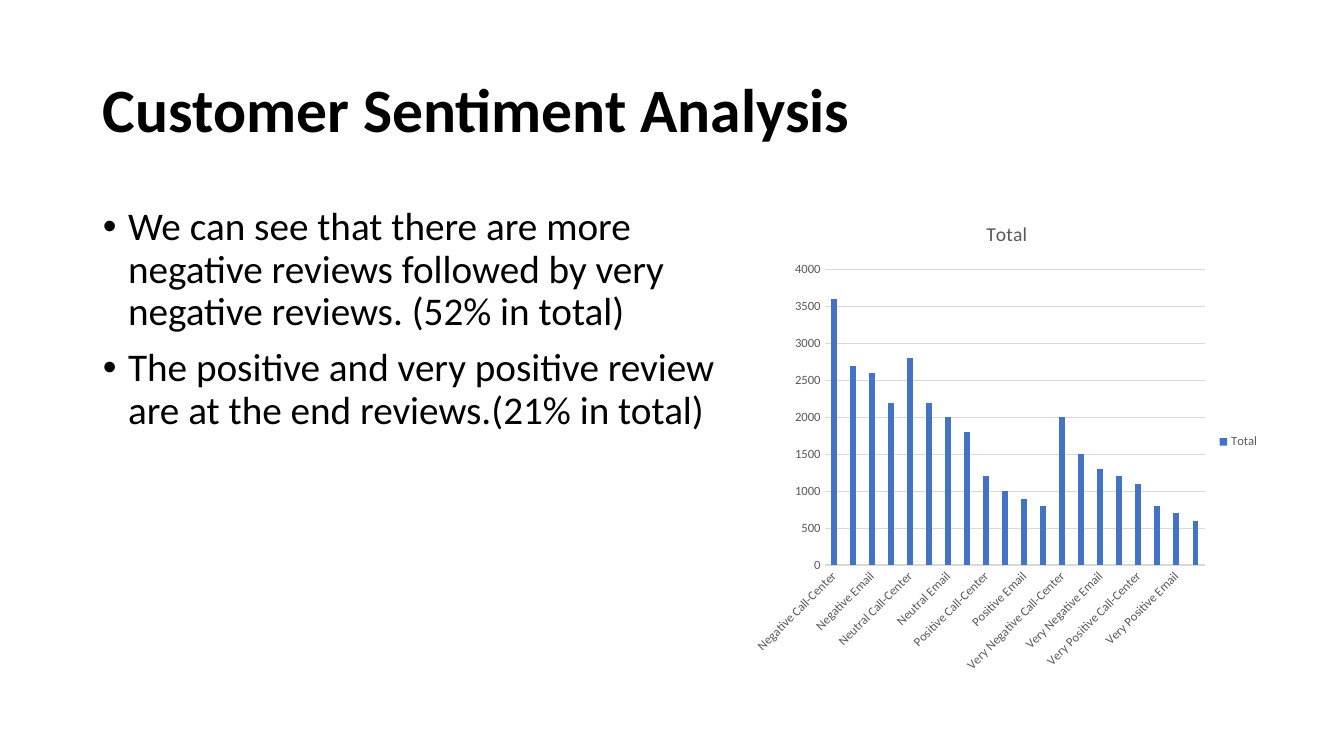
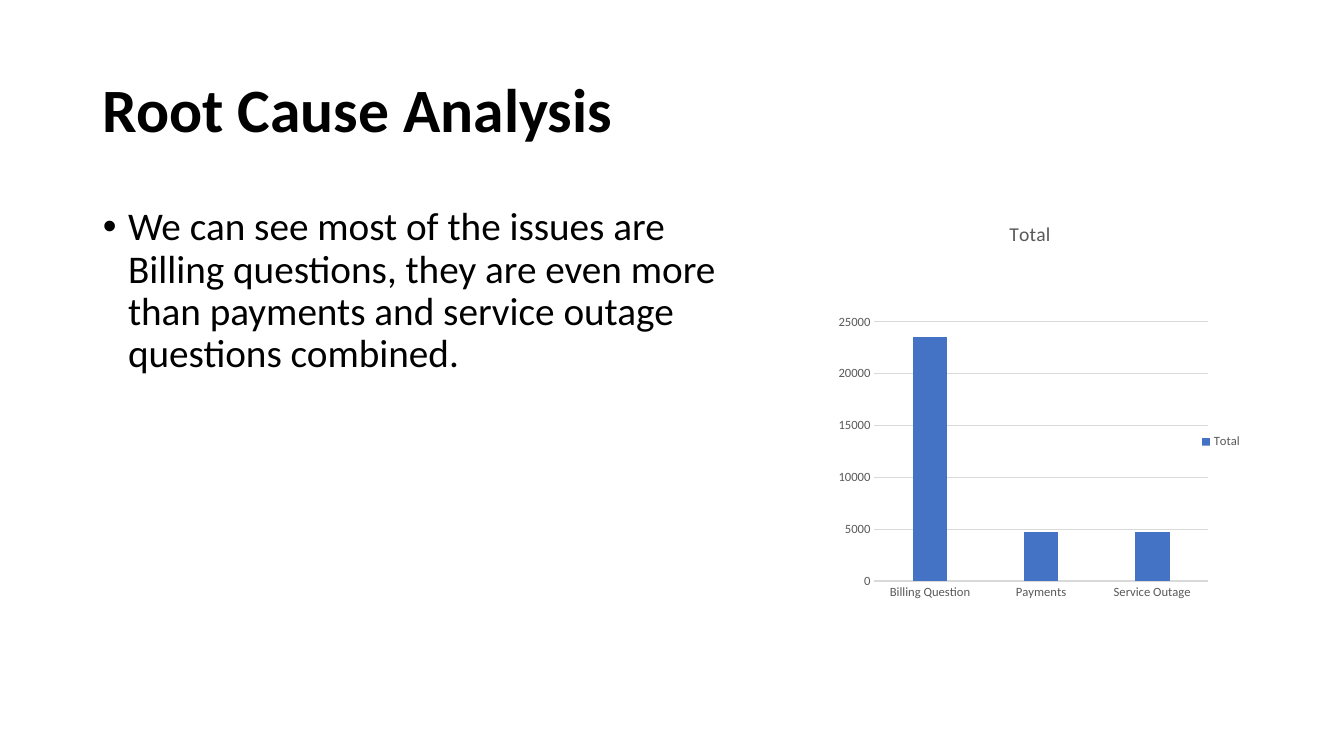
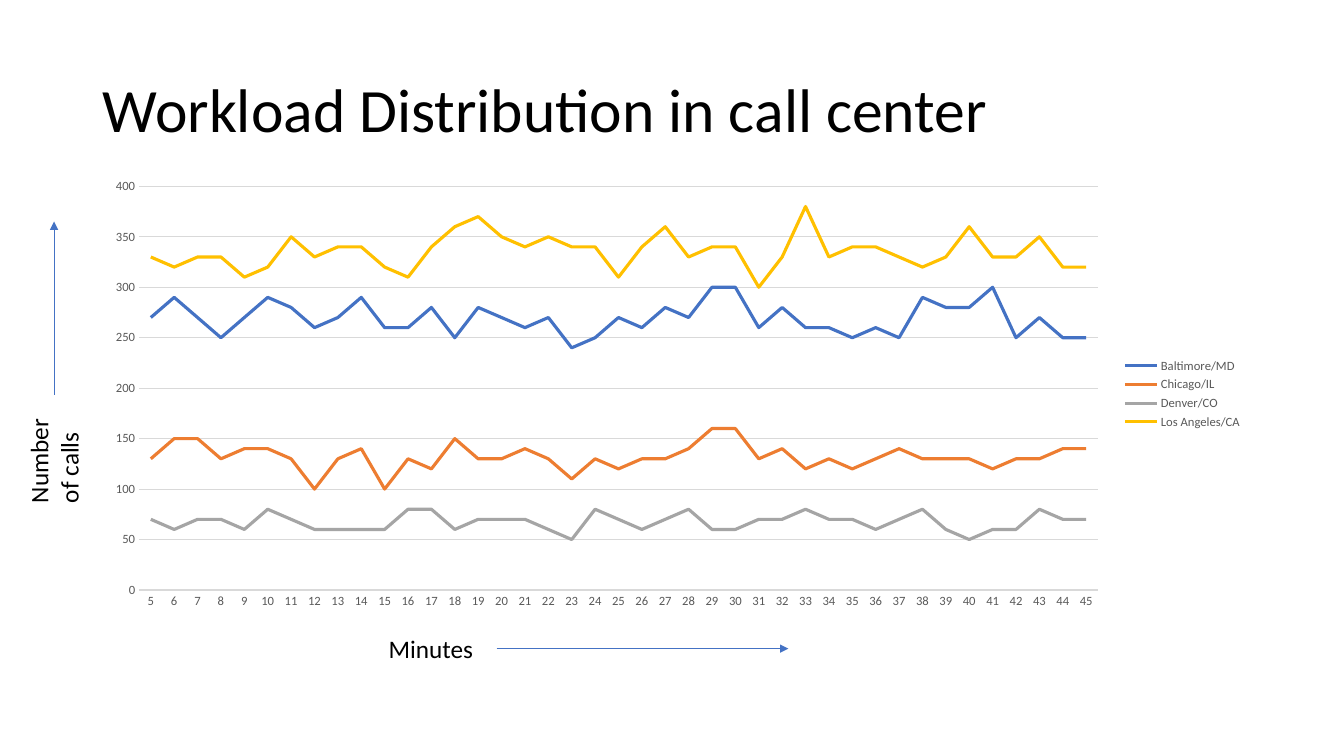
from itertools import product

from lxml import etree
from pptx import Presentation
from pptx.chart.data import CategoryChartData
from pptx.dml.color import RGBColor
from pptx.enum.chart import XL_CHART_TYPE, XL_LEGEND_POSITION, XL_TICK_MARK
from pptx.enum.shapes import MSO_CONNECTOR
from pptx.enum.text import MSO_ANCHOR, MSO_AUTO_SIZE, PP_ALIGN
from pptx.oxml.ns import qn
from pptx.util import Inches, Pt

BARS = XL_CHART_TYPE.COLUMN_CLUSTERED
LINES = XL_CHART_TYPE.LINE
RIGHT = XL_LEGEND_POSITION.RIGHT
NO_TICK = XL_TICK_MARK.NONE
STRAIGHT = MSO_CONNECTOR.STRAIGHT
MIDDLE, TOP = MSO_ANCHOR.MIDDLE, MSO_ANCHOR.TOP
NO_FIT = MSO_AUTO_SIZE.NONE
LEFT = PP_ALIGN.LEFT

WIDE, HIGH = 13.33, 7.5
MARGIN = 0.92
COL = 11.5 / 12
ROW = HIGH / 10
TITLE_BOX = (0, 0.53, 12, 1.93)
BODY_BOX = (0, 2.67, 7, 6.35)
LIST_LAYOUT, TITLE_LAYOUT = 1, 5
RIGHT_SIDE = 3

FACE = "Calibri"
INK, GREY, RULE = "000000", "595959", "D9D9D9"
BLUE, ORANGE, SILVER, GOLD = "4472C4", "ED7D31", "A5A5A5", "FFC000"
PALETTE = (BLUE, ORANGE, SILVER, GOLD)

MOODS = ("Negative", "Neutral", "Positive", "Very Negative", "Very Positive")
CHANNELS = ("Call-Center", "Chatbot", "Email", "Web")
REVIEWS = [3600, 2700, 2600, 2200, 2800, 2200, 2000, 1800, 1200, 1000,
           900, 800, 2000, 1500, 1300, 1200, 1100, 800, 700, 600]
CAUSES = {"Billing Question": 23500, "Payments": 4700, "Service Outage": 4700}
CALLS = {
    "Baltimore/MD": [
        270, 290, 270, 250, 270, 290, 280, 260, 270, 290, 260, 260, 280, 250,
        280, 270, 260, 270, 240, 250, 270, 260, 280, 270, 300, 300, 260, 280,
        260, 260, 250, 260, 250, 290, 280, 280, 300, 250, 270, 250, 250],
    "Chicago/IL": [
        130, 150, 150, 130, 140, 140, 130, 100, 130, 140, 100, 130, 120, 150,
        130, 130, 140, 130, 110, 130, 120, 130, 130, 140, 160, 160, 130, 140,
        120, 130, 120, 130, 140, 130, 130, 130, 120, 130, 130, 140, 140],
    "Denver/CO": [
        70, 60, 70, 70, 60, 80, 70, 60, 60, 60, 60, 80, 80, 60,
        70, 70, 70, 60, 50, 80, 70, 60, 70, 80, 60, 60, 70, 70,
        80, 70, 70, 60, 70, 80, 60, 50, 60, 60, 80, 70, 70],
    "Los Angeles/CA": [
        330, 320, 330, 330, 310, 320, 350, 330, 340, 340, 320, 310, 340, 360,
        370, 350, 340, 350, 340, 340, 310, 340, 360, 330, 340, 340, 300, 330,
        380, 330, 340, 340, 330, 320, 330, 360, 330, 330, 350, 320, 320],
}


def rgb(code):
    return RGBColor.from_string(code)


def point(col, row):
    return Inches(MARGIN + col * COL), Inches(row * ROW)


def area(col, row, cols, rows):
    """Turn grid units into left, top, width and height."""
    return (*point(col, row), Inches(cols * COL), Inches(rows * ROW))


def style(font, size, color=INK, bold=False):
    font.name, font.size, font.bold = FACE, Pt(size), bold
    font.color.rgb = rgb(color)


def stroke(line, color, width):
    line.color.rgb = rgb(color)
    line.width = Pt(width)


def move(shape, box):
    shape.left, shape.top, shape.width, shape.height = area(*box)


def bullet(para):
    props = para._p.get_or_add_pPr()
    props.set("marL", str(Inches(0.25)))
    props.set("indent", str(Inches(-0.25)))
    etree.SubElement(props, qn("a:buFont")).set("typeface", "Arial")
    etree.SubElement(props, qn("a:buChar")).set("char", "•")


def fill(holder, box, lines, size, anchor, bold=False, dots=False):
    """Move a placeholder to a grid box and write its paragraphs."""
    move(holder, box)
    frame = holder.text_frame
    frame.text = "\n".join(lines)
    frame.auto_size = NO_FIT
    frame.vertical_anchor = anchor
    for num, para in enumerate(frame.paragraphs):
        if dots:
            bullet(para)
        para.alignment = LEFT
        para.line_spacing = 0.9
        para.space_before = Pt(10 if num else 0)
        style(para.font, size, bold=bold)


def add_slide(deck, title, points=(), bold=True):
    layout = LIST_LAYOUT if points else TITLE_LAYOUT
    slide = deck.slides.add_slide(deck.slide_layouts[layout])
    fill(slide.shapes.title, TITLE_BOX, [title], 44, MIDDLE, bold)
    if points:
        fill(slide.placeholders[1], BODY_BOX, points, 28, TOP, dots=True)
    return slide


def style_axes(chart):
    for axis in (chart.category_axis, chart.value_axis):
        axis.major_tick_mark = axis.minor_tick_mark = NO_TICK
        style(axis.tick_labels.font, 9, GREY)
    stroke(chart.category_axis.format.line, RULE, 0.75)
    chart.value_axis.format.line.fill.background()
    chart.value_axis.has_major_gridlines = True
    stroke(chart.value_axis.major_gridlines.format.line, RULE, 0.75)


def add_chart(slide, kind, box, cats, series):
    """Add a chart with the shared fonts, axes and legend."""
    data = CategoryChartData()
    data.categories = cats
    for name, vals in series.items():
        data.add_series(name, vals)
    chart = slide.shapes.add_chart(kind, *area(*box), data).chart
    style(chart.font, 10)
    chart.has_title = False
    chart.has_legend = True
    chart.legend.position = RIGHT
    chart.legend.include_in_layout = False
    style(chart.legend.font, 9, GREY)
    style_axes(chart)
    chart.plots[0].vary_by_categories = False
    return chart


def add_bars(slide, box, cats, vals):
    chart = add_chart(slide, BARS, box, cats, {"Total": vals})
    chart.has_title = True
    frame = chart.chart_title.text_frame
    frame.text = "Total"
    style(frame.paragraphs[0].font, 14, GREY)
    plot = chart.plots[0]
    plot.gap_width, plot.overlap = 219, -27
    bars = plot.series[0].format.fill
    bars.solid()
    bars.fore_color.rgb = rgb(BLUE)
    return chart


def add_lines(slide, box, cats, series):
    chart = add_chart(slide, LINES, box, cats, series)
    for line, color in zip(chart.plots[0].series, PALETTE):
        line.smooth = False
        stroke(line.format.line, color, 2.25)


def tilt(axis, degrees):
    body = axis.tick_labels.font._element.getparent().getparent().getparent()
    body.find(qn("a:bodyPr")).set("rot", str(degrees * 60000))


def set_plot(chart, x, y, w, h):
    """Fix the inner plot area, in shares of the chart."""
    plot = chart._chartSpace.chart.plotArea
    for old in plot.findall(qn("c:layout")):
        plot.remove(old)
    layout = etree.Element(qn("c:layout"))
    plot.insert(0, layout)
    manual = etree.SubElement(layout, qn("c:manualLayout"))
    parts = {"layoutTarget": "inner", "xMode": "edge", "yMode": "edge",
             "x": x, "y": y, "w": w, "h": h}
    for tag, val in parts.items():
        etree.SubElement(manual, qn("c:" + tag)).set("val", str(val))


def add_label(slide, text, box, turn=0):
    label = slide.shapes.add_textbox(*area(*box))
    label.rotation = turn
    frame = label.text_frame
    frame.word_wrap = True
    frame.text = text
    style(frame.paragraphs[0].font, 18)
    return label


def add_arrow(slide, label, start, end):
    """Draw an arrow from the right side of a label, which may be turned."""
    arrow = slide.shapes.add_connector(STRAIGHT, *point(*start), *point(*end))
    arrow.begin_connect(label, RIGHT_SIDE)
    arrow.begin_x, arrow.begin_y = point(*start)
    stroke(arrow.line, BLUE, 0.5)
    etree.SubElement(arrow.line._get_or_add_ln(),
                     qn("a:tailEnd")).set("type", "triangle")
    etree.SubElement(arrow._element.spPr, qn("a:effectLst"))


def add_mood(deck):
    slide = add_slide(deck, "Customer Sentiment Analysis", [
        "We can see that there are more negative reviews followed by very "
        "negative reviews. (52% in total)",
        "The positive and very positive review are at the end reviews."
        "(21% in total)"])
    cats = [" ".join(pair) for pair in product(MOODS, CHANNELS)]
    chart = add_bars(slide, (6.74, 2.67, 5.44, 6.35), cats, REVIEWS)
    tilt(chart.category_axis, -45)


def add_cause(deck):
    slide = add_slide(deck, "Root Cause Analysis", [
        "We can see most of the issues are Billing questions, they are even "
        "more than payments and service outage questions combined."])
    chart = add_bars(slide, (7.4, 2.67, 4.6, 6.35),
                     list(CAUSES), list(CAUSES.values()))
    set_plot(chart, 0.15, 0.25, 0.75, 0.54)


def add_load(deck):
    slide = add_slide(deck, "Workload Distribution in call center", bold=False)
    cats = [str(num) for num in range(5, 46)]
    add_lines(slide, (0, 2.25, 12, 5.92), cats, CALLS)
    label = add_label(slide, "Minutes", (2.96, 8.31, 1.22, 0.54))
    add_arrow(slide, label, (4.18, 8.58), (7.2, 8.58))
    label = add_label(slide, "Number of calls", (-1.01, 5.53, 1.22, 0.95), 270)
    add_arrow(slide, label, (-0.4, 5.22), (-0.4, 2.93))


def main():
    deck = Presentation()
    deck.slide_width, deck.slide_height = Inches(WIDE), Inches(HIGH)
    add_mood(deck)
    add_cause(deck)
    add_load(deck)
    deck.save("out.pptx")


if __name__ == "__main__":
    main()
